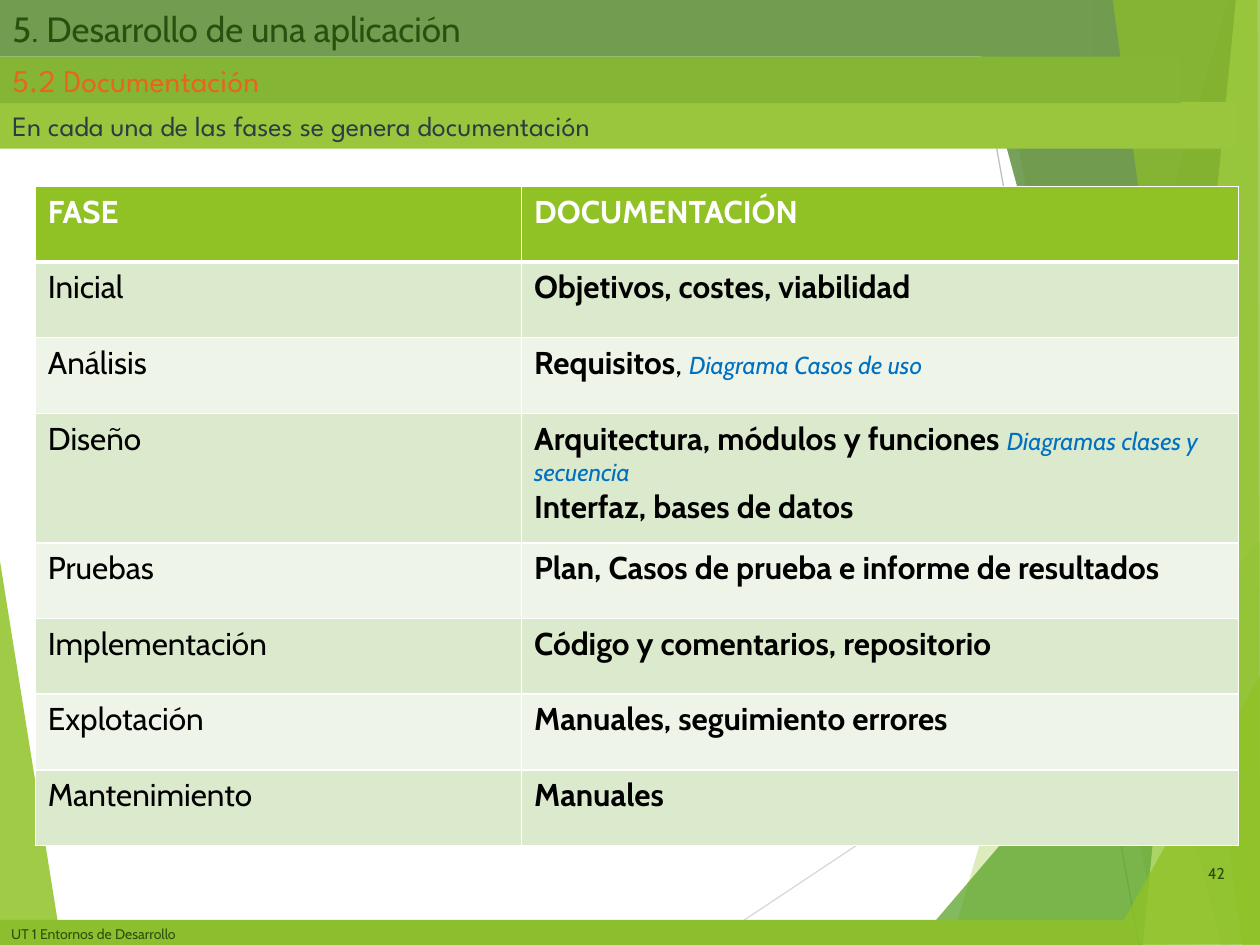
from lxml import etree
from pptx import Presentation
from pptx.dml.color import RGBColor
from pptx.enum import shapes, text
from pptx.oxml import ns
from pptx.util import Inches, Pt

LIME = RGBColor(0x90, 0xC2, 0x26)
GRASS = RGBColor(0x54, 0xA0, 0x21)
FOREST = RGBColor(0x3F, 0x78, 0x19)
PALE_LIME = RGBColor(0xC0, 0xE4, 0x74)
FOOTER_GREEN = RGBColor(0x8C, 0xBF, 0x2D)
TITLE_GREEN = RGBColor(0x72, 0x9D, 0x51)
SECTION_GREEN = RGBColor(0x85, 0xB5, 0x35)
INTRO_GREEN = RGBColor(0x99, 0xC6, 0x3D)
DARK_GREEN = RGBColor(0x2A, 0x50, 0x10)
SLATE = RGBColor(0x2C, 0x3C, 0x43)
ORANGE = RGBColor(0xE7, 0x66, 0x18)
BLUE = RGBColor(0x00, 0x70, 0xC0)
BLACK = RGBColor(0, 0, 0)
WHITE = RGBColor(255, 255, 255)
ROW_COLOURS = (RGBColor(0xEE, 0xF4, 0xE8), RGBColor(0xDB, 0xE9, 0xCD))
LIGHT_GREY = RGBColor(0xD9, 0xD9, 0xD9)
GREY = RGBColor(0xBF, 0xBF, 0xBF)
BODY_FONT, HEAD_FONT = "Cabin", "League Spartan"

# Corner points, colour and opacity in percent, relative to the page
LEFT_FACET = ([(-0.01, 4.39), (0.49, 7.51), (-0.01, 7.5)], LIME, 85)
RIGHT_FACETS = [
    ([(9.75, 0), (7.54, 7.5), (10.02, 7.51), (10.01, 0.01)], LIME, 30),
    ([(7.88, -0.01), (9.19, 7.5), (10.01, 7.5), (10.01, -0.01)], LIME, 20),
    ([(7.26, 7.5), (10, 4.29), (10.01, 7.5)], GRASS, 72),
    ([(7.67, -0.01), (9.7, 7.5), (10.01, 7.49), (10.01, -0.01)], FOREST, 70),
    ([(9.81, -0.01), (9.07, 7.5), (10.01, 7.5), (10, -0.01)], PALE_LIME, 70),
    ([(8.83, -0.01), (9.86, 7.5), (10, 7.5), (9.98, -0.01)], LIME, 65),
    ([(8.81, 7.5), (10.01, 5.35), (10.01, 7.49)], LIME, 80),
]
RAYS = [((5.61, 7.5), (10.01, 4.57), LIGHT_GREY), ((7.7, 0), (9.04, 7.5), GREY)]

# Each phase with its paragraphs of (wording, is a diagram)
PHASES = [
    ("Inicial", [[("Objetivos, costes, viabilidad", False)]]),
    ("Análisis", [[("Requisitos", False), (", ", None), ("Diagrama Casos de uso", True)]]),
    ("Diseño", [[("Arquitectura, módulos y funciones ", False),
                 ("Diagramas clases y secuencia", True)],
                [("Interfaz, bases de datos", False)]]),
    ("Pruebas", [[("Plan, Casos de prueba e informe de resultados", False)]]),
    ("Implementación", [[("Código y comentarios, repositorio", False)]]),
    ("Explotación", [[("Manuales, seguimiento errores", False)]]),
    ("Mantenimiento", [[("Manuales", False)]]),
]


def inches(values):
    return [Inches(value) for value in values]


def style(font, size, colour, name=BODY_FONT, bold=False, italic=False):
    font.size, font.name = Pt(size), name
    font.bold, font.italic = bold, italic
    font.color.rgb = colour


def add_facet(page, points, colour, opacity):
    builder = page.shapes.build_freeform(*inches(points[0]), scale=1.0)
    builder.add_line_segments([inches(point) for point in points[1:]], close=True)
    facet = builder.convert_to_shape()
    facet.shadow.inherit = False
    facet.line.fill.background()
    facet.fill.solid()
    facet.fill.fore_color.rgb = colour
    colour_node = facet.fill._xPr.find(".//" + ns.qn("a:srgbClr"))
    etree.SubElement(colour_node, ns.qn("a:alpha"), val=str(opacity * 1000))


def add_backdrop(page):
    add_facet(page, *LEFT_FACET)
    for start, end, colour in RAYS:
        ray = page.shapes.add_connector(
            shapes.MSO_CONNECTOR.STRAIGHT, *inches(start), *inches(end))
        ray.line.color.rgb = colour
        ray.line.width = Pt(0.75)
        etree.SubElement(ray._element.spPr, ns.qn("a:effectLst"))
    for facet in RIGHT_FACETS:
        add_facet(page, *facet)


def add_bar(page, box, fill, wording, size, colour, name=BODY_FONT,
            anchor=text.MSO_ANCHOR.MIDDLE):
    bar = page.shapes.add_shape(shapes.MSO_SHAPE.RECTANGLE, *inches(box))
    bar.shadow.inherit = False
    bar.line.fill.background()
    bar.fill.solid()
    bar.fill.fore_color.rgb = fill
    frame = bar.text_frame
    frame.text = wording
    frame.vertical_anchor = anchor
    para = frame.paragraphs[0]
    para.alignment = text.PP_ALIGN.LEFT
    style(para.font, size, colour, name)


def add_page_number(page, box, number):
    frame = page.shapes.add_textbox(*inches(box)).text_frame
    frame.word_wrap = True
    frame.vertical_anchor = text.MSO_ANCHOR.MIDDLE
    frame.text = number
    para = frame.paragraphs[0]
    para.alignment = text.PP_ALIGN.RIGHT
    style(para.font, 9, DARK_GREEN)


def paint_cell(cell, fill, bottom_width=1):
    """Fill a cell and give it white borders."""
    properties = cell._tc.get_or_add_tcPr()
    for side in ("L", "R", "T", "B"):
        width = bottom_width if side == "B" else 1
        border = etree.SubElement(properties, ns.qn(f"a:ln{side}"), w=str(Pt(width)))
        solid = etree.SubElement(border, ns.qn("a:solidFill"))
        etree.SubElement(solid, ns.qn("a:srgbClr"), val=str(WHITE))
    cell.fill.solid()
    cell.fill.fore_color.rgb = fill


def write_documents(frame, paragraphs):
    for index, parts in enumerate(paragraphs):
        para = frame.add_paragraph() if index else frame.paragraphs[0]
        for wording, is_diagram in parts:
            span = para.add_run()
            span.text = wording
            if is_diagram:
                style(span.font, 14, BLUE, italic=True)
            else:
                style(span.font, 18, BLACK, bold=is_diagram is False)


def add_phase_table(page, box):
    table = page.shapes.add_table(len(PHASES) + 1, 2, *inches(box)).table
    table.columns[0].width = Inches(3.86)
    table.columns[1].width = Inches(box[2] - 3.86)
    for row in table.rows:
        row.height = Inches(0.6)
    table.rows[3].height = Inches(1.03)
    for column, heading in enumerate(("FASE", "DOCUMENTACIÓN")):
        cell = table.cell(0, column)
        cell.text = heading
        style(cell.text_frame.paragraphs[0].runs[0].font, 18, WHITE, bold=True)
        paint_cell(cell, LIME, bottom_width=3)
    for row, (phase, documents) in enumerate(PHASES, start=1):
        name_cell, document_cell = table.cell(row, 0), table.cell(row, 1)
        name_cell.text = phase
        style(name_cell.text_frame.paragraphs[0].runs[0].font, 18, BLACK)
        write_documents(document_cell.text_frame, documents)
        for cell in (name_cell, document_cell):
            paint_cell(cell, ROW_COLOURS[row % 2])


def main():
    deck = Presentation()
    deck.slide_width, deck.slide_height = Inches(10), Inches(7.5)
    page = deck.slides.add_slide(deck.slide_layouts[6])
    add_backdrop(page)
    add_bar(page, (-0.01, 7.3, 8.98, 0.21), FOOTER_GREEN, "UT 1 Entornos de Desarrollo",
            8, DARK_GREEN, anchor=text.MSO_ANCHOR.TOP)
    add_page_number(page, (9.26, 6.73, 0.56, 0.4), "42")
    add_bar(page, (0, 0.81, 9.82, 0.37), INTRO_GREEN,
            "En cada una de las fases se genera documentación", 16, SLATE, HEAD_FONT)
    add_bar(page, (0, 0, 8.68, 0.45), TITLE_GREEN, "5. Desarrollo de una aplicación",
            20, DARK_GREEN)
    add_bar(page, (0, 0.45, 9.37, 0.37), SECTION_GREEN, "5.2 Documentación",
            18, ORANGE, HEAD_FONT)
    add_phase_table(page, (0.28, 1.48, 9.55, 5.22))
    deck.save("out.pptx")


if __name__ == "__main__":
    main()
